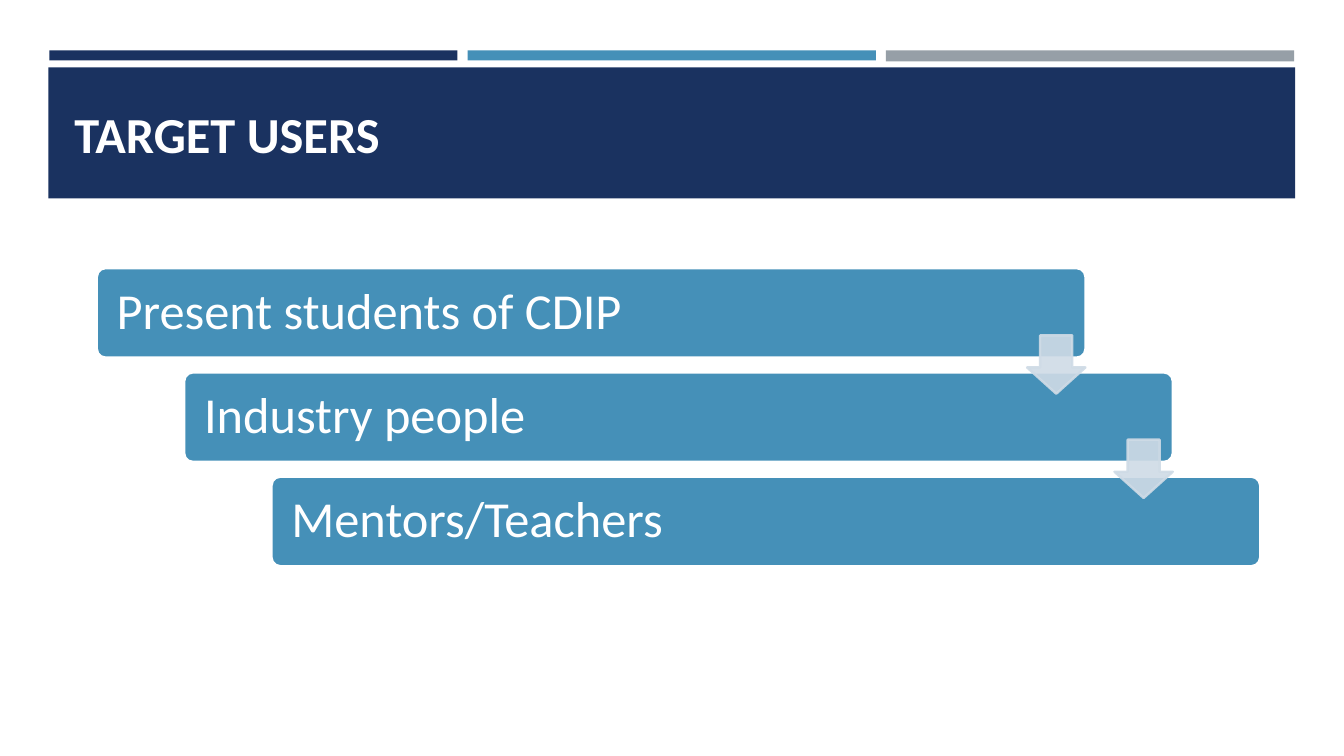
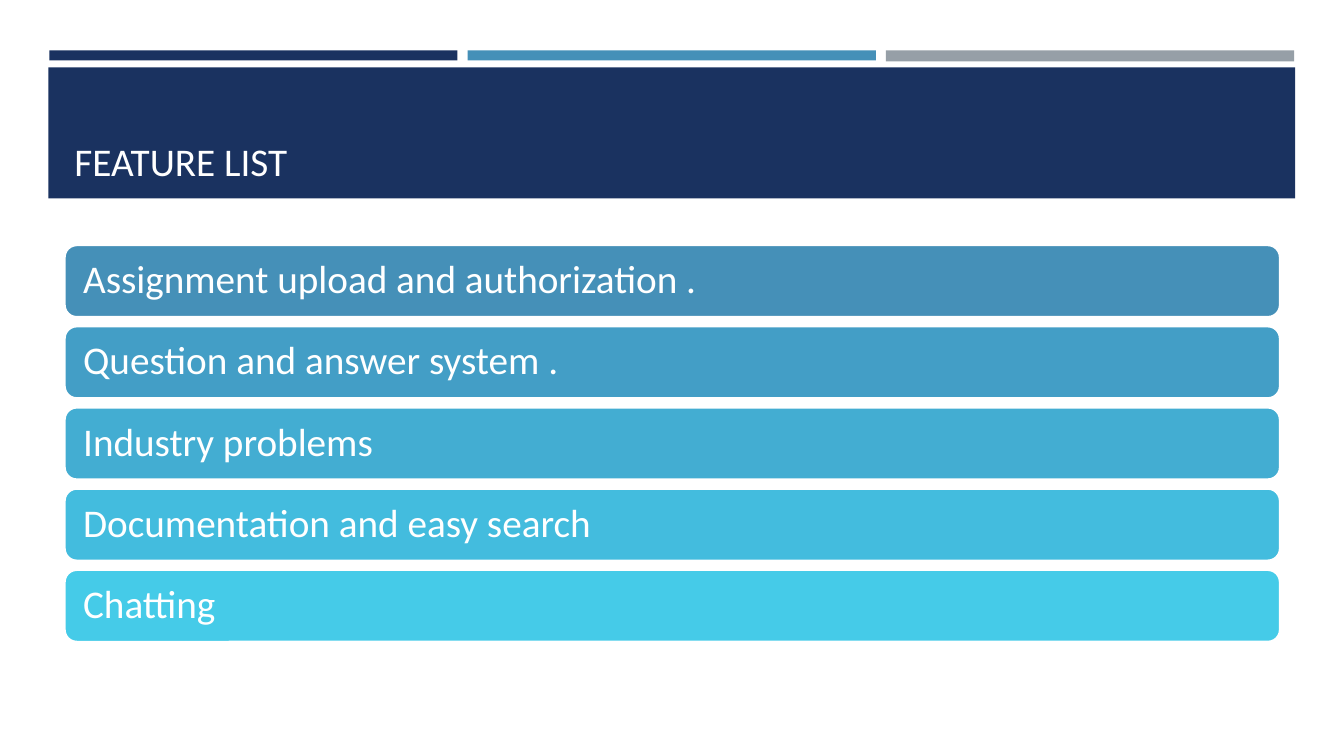
from pptx import Presentation
from pptx.dml.color import RGBColor
from pptx.enum.shapes import MSO_SHAPE
from pptx.enum.text import MSO_ANCHOR, PP_ALIGN
from pptx.oxml.ns import qn
from pptx.util import Pt
from lxml.etree import SubElement

NAVY, BLUE, GREY, WHITE, PALE = "1A3260", "4590B8", "969FA7", "FFFFFF", "CFDBE6"


def paint(color_format, hex_color, opacity=100):
    color_format.solid()
    color_format.fore_color.rgb = RGBColor.from_string(hex_color)
    if opacity < 100:
        color = color_format.fore_color._xFill.find(qn("a:srgbClr"))
        SubElement(color, qn("a:alpha")).set("val", str(opacity * 1000))


class Deck:
    font_name = "Calibri"
    outline_width = 1.75
    strips = [(NAVY, 7.2), (BLUE, 7.2), (GREY, 7.9)]

    def __init__(self):
        self.deck = Presentation()
        self.deck.slide_width, self.deck.slide_height = Pt(960), Pt(540)
        self.page = None

    def add_page(self, title, title_bottom, size, bold=False):
        """Start a slide with the three strips, the title band and its title."""
        self.page = self.deck.slides.add_slide(self.deck.slide_layouts[6])
        for index, (color, height) in enumerate(self.strips):
            self.shape(MSO_SHAPE.RECTANGLE, 35.2 + 298.8 * index, 36, 291.6, height, color)
        self.shape(MSO_SHAPE.RECTANGLE, 34.6, 48.2, 890.6, 93.6, NAVY)
        top = 55.4
        box = self.page.shapes.add_textbox(Pt(46.1), Pt(top), Pt(868.3), Pt(title_bottom - top))
        self.set_text(box, title, size, MSO_ANCHOR.BOTTOM, bold=bold)

    def shape(self, kind, left, top, width, height, fill, line=None, opacity=100, adjustments=()):
        shape = self.page.shapes.add_shape(kind, Pt(left), Pt(top), Pt(width), Pt(height))
        shape.shadow.inherit = False
        for index, value in enumerate(adjustments):
            shape.adjustments[index] = value
        paint(shape.fill, fill, opacity)
        if line:
            shape.line.width = Pt(self.outline_width)
            paint(shape.line.fill, line, opacity)
        else:
            shape.line.fill.background()
        return shape

    def bar(self, text, left, top, width, height, fill, size, inset, rounding):
        bar = self.shape(MSO_SHAPE.ROUNDED_RECTANGLE, left, top, width, height, fill, WHITE,
                         adjustments=[rounding])
        bar.text_frame.margin_left = Pt(inset)
        self.set_text(bar, text, size, MSO_ANCHOR.MIDDLE, line_spacing=0.9)

    def arrow(self, left, top, side):
        self.shape(MSO_SHAPE.DOWN_ARROW, left, top, side, side, PALE, PALE,
                   opacity=90, adjustments=[0.55, 0.45])

    def set_text(self, box, text, size, anchor, bold=False, line_spacing=None):
        frame = box.text_frame
        frame.word_wrap = True
        frame.vertical_anchor = anchor
        paragraph = frame.paragraphs[0]
        paragraph.text = text
        paragraph.alignment = PP_ALIGN.LEFT
        paragraph.line_spacing = line_spacing
        font = paragraph.font
        font.name, font.size, font.bold = self.font_name, Pt(size), bold
        paint(font.fill, WHITE)


def add_target_users(deck):
    deck.add_page("TARGET USERS", 120.5, 36, bold=True)
    users = ["Present students of CDIP", "Industry people", "Mentors/Teachers"]
    step_x, step_y = 62.4, 74.5
    for index, user in enumerate(users):
        deck.bar(user, 69.1 + step_x * index, 191.5 + step_y * index, 706.3, 64, BLUE,
                 size=36, inset=12.4, rounding=0.1)
    for index in range(len(users) - 1):
        deck.arrow(733.7 + step_x * index, 239.6 + step_y * index, 41.6)


def add_feature_list(deck):
    deck.add_page("FEATURE LIST", 135.4, 28)
    features = [
        ("Assignment upload and authorization .", BLUE),
        ("Question and answer system .", "439EC6"),
        ("Industry problems", "43ADD2"),
        ("Documentation and easy search", "43BCDE"),
        ("Chatting", "45CBE8"),
    ]
    for index, (feature, color) in enumerate(features):
        deck.bar(feature, 46.1, 175 + 58 * index, 868.3, 51.6, color,
                 size=28, inset=10.8, rounding=0.17)


def main():
    deck = Deck()
    add_target_users(deck)
    add_feature_list(deck)
    deck.deck.save("out.pptx")


if __name__ == "__main__":
    main()
